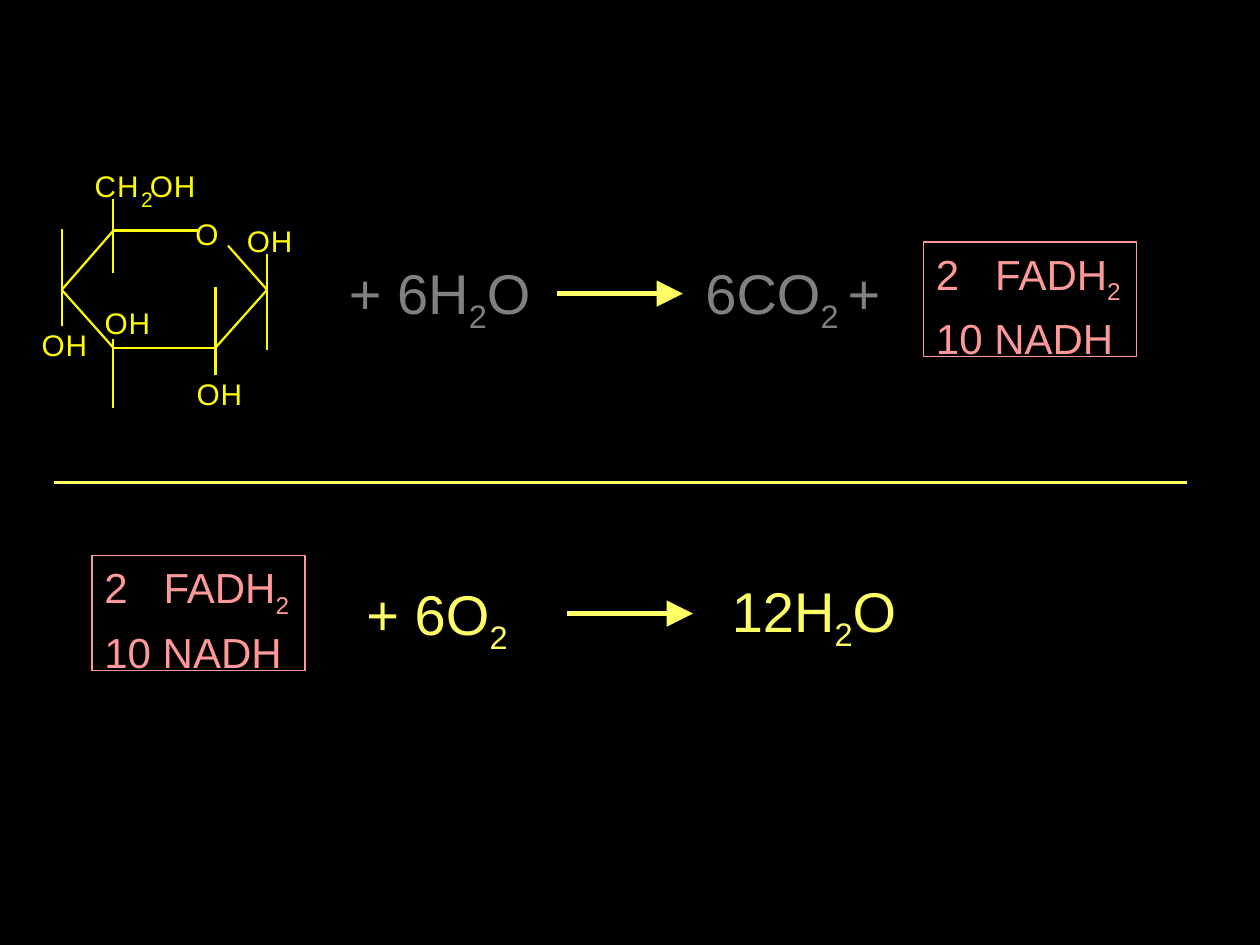
"""Build the slide on glucose oxidation and the reoxidation of its carriers."""
from lxml import etree
from pptx import Presentation
from pptx.dml.color import RGBColor
from pptx.enum.shapes import MSO_CONNECTOR, MSO_SHAPE
from pptx.enum.text import MSO_ANCHOR, PP_ALIGN
from pptx.oxml.ns import qn
from pptx.util import Inches, Pt

STRAIGHT = MSO_CONNECTOR.STRAIGHT
RECTANGLE = MSO_SHAPE.RECTANGLE
TOP = MSO_ANCHOR.TOP
LEFT = PP_ALIGN.LEFT

BLACK = RGBColor(0x00, 0x00, 0x00)
YELLOW = RGBColor(0xFF, 0xFF, 0x00)
PALE_YELLOW = RGBColor(0xFF, 0xFF, 0x66)
GRAY = RGBColor(0x80, 0x80, 0x80)
PINK = RGBColor(0xFF, 0x99, 0x99)
FONT = "Arial"

FORMULAS = [
    (("+ 6H", "2", "O"), (2.67, 2, 1.68, 0.64), GRAY),
    (("6CO", "2 ", "+"), (5.5, 2, 1.68, 0.64), GRAY),
    (("+ 6O", "2"), (2.81, 4.55, 1.38, 0.63), PALE_YELLOW),
    (("12H", "2", "O"), (5.71, 4.53, 1.54, 0.64), PALE_YELLOW),
]
CARRIERS = [("2\tFADH", "2"), ("10 NADH",)]
CARRIER_PLACES = [(7.33, 1.92), (0.73, 4.41)]
CARRIER_SIZE = (1.69, 0.91)
CARRIER_TAB = 0.47

HYDROXYLS = [(1.19, 1.33), (0.33, 2.59), (0.83, 2.42), (1.56, 2.98), (1.96, 1.77)]
HYDROGEN_STEP = 0.19
ATOMS = [("O", 1.55, 1.71, 17), ("C", 0.75, 1.33, 17),
         ("H", 0.93, 1.33, 17), ("2", 1.12, 1.48, 12)]
ATOMS += [(letter, x + i * HYDROGEN_STEP, y, 17)
          for x, y in HYDROXYLS for i, letter in enumerate("OH")]

RING = [(1.81, 1.95), (2.12, 2.3), (1.71, 2.76), (0.9, 2.76),
        (0.49, 2.3), (0.9, 1.83), (1.58, 1.83)]
BOND_ENDS = [(2.02, 2.78), (2.28, 2.98), (2.69, 3.24), (1.82, 2.59), (1.58, 2.17)]
BONDS = list(zip(RING, RING[1:]))
BONDS += [((x, y), (x, end)) for (x, y), ends in zip(RING[1:-1], BOND_ENDS)
          for end in ends]

ARROWS = [((4.42, 2.33), (5.42, 2.33)), ((4.5, 4.87), (5.5, 4.87))]
DIVIDER = ((0.43, 3.83), (9.42, 3.83))


def set_attributes(target, values):
    for name, value in values.items():
        setattr(target, name, value)


def write_runs(paragraph, parts, size, color):
    paragraph.alignment = LEFT
    for i, part in enumerate(parts):
        run = paragraph.add_run()
        run.text = part
        set_attributes(run.font, {"name": FONT, "size": Pt(size)})
        run.font.color.rgb = color
        if i == 1:
            run.font._element.set("baseline", "-25000")


def add_text(slide, parts, place, size, color, margin):
    frame = slide.shapes.add_textbox(*map(Inches, place)).text_frame
    set_attributes(frame, {"word_wrap": False, "vertical_anchor": TOP})
    if margin is not None:
        set_attributes(frame, {f"margin_{side}": margin
                               for side in ("left", "top", "right", "bottom")})
    write_runs(frame.paragraphs[0], parts, size, color)


def add_line(slide, start, end, color, width, arrow=False):
    line = slide.shapes.add_connector(STRAIGHT, *map(Inches, start + end))
    line.line.color.rgb = color
    line.line.width = Pt(width)
    etree.SubElement(line._element.spPr, qn("a:effectLst"))
    if arrow:
        etree.SubElement(line.line._get_or_add_ln(), qn("a:tailEnd"),
                         type="triangle", w="lg", len="lg")


def add_carriers(slide, place):
    box = slide.shapes.add_shape(RECTANGLE, *map(Inches, place + CARRIER_SIZE))
    box.shadow.inherit = False
    box.fill.background()
    box.line.color.rgb = PINK
    box.line.width = Pt(0.75)
    frame = box.text_frame
    set_attributes(frame, {"word_wrap": True, "vertical_anchor": TOP})
    for i, parts in enumerate(CARRIERS):
        paragraph = frame.add_paragraph() if i else frame.paragraphs[0]
        paragraph.space_before = Pt(4)
        write_runs(paragraph, parts, 24, PINK)
        tabs = etree.SubElement(paragraph._p.get_or_add_pPr(), qn("a:tabLst"))
        etree.SubElement(tabs, qn("a:tab"), pos=str(Inches(CARRIER_TAB)), algn="l")


def main():
    deck = Presentation()
    set_attributes(deck, {"slide_width": Inches(10), "slide_height": Inches(7.5)})
    slide = deck.slides.add_slide(deck.slide_layouts[6])
    slide.background.fill.solid()
    slide.background.fill.fore_color.rgb = BLACK
    for letter, x, y, size in ATOMS:
        add_text(slide, (letter,), (x, y, 0.18, size / 60), size, YELLOW, 0)
    for start, end in BONDS:
        add_line(slide, start, end, YELLOW, 1.25)
    for parts, place, color in FORMULAS:
        add_text(slide, parts, place, 32, color, None)
    for start, end in ARROWS:
        add_line(slide, start, end, PALE_YELLOW, 3, arrow=True)
    for place in CARRIER_PLACES:
        add_carriers(slide, place)
    add_line(slide, *DIVIDER, PALE_YELLOW, 1.5)
    deck.save("out.pptx")


if __name__ == "__main__":
    main()
